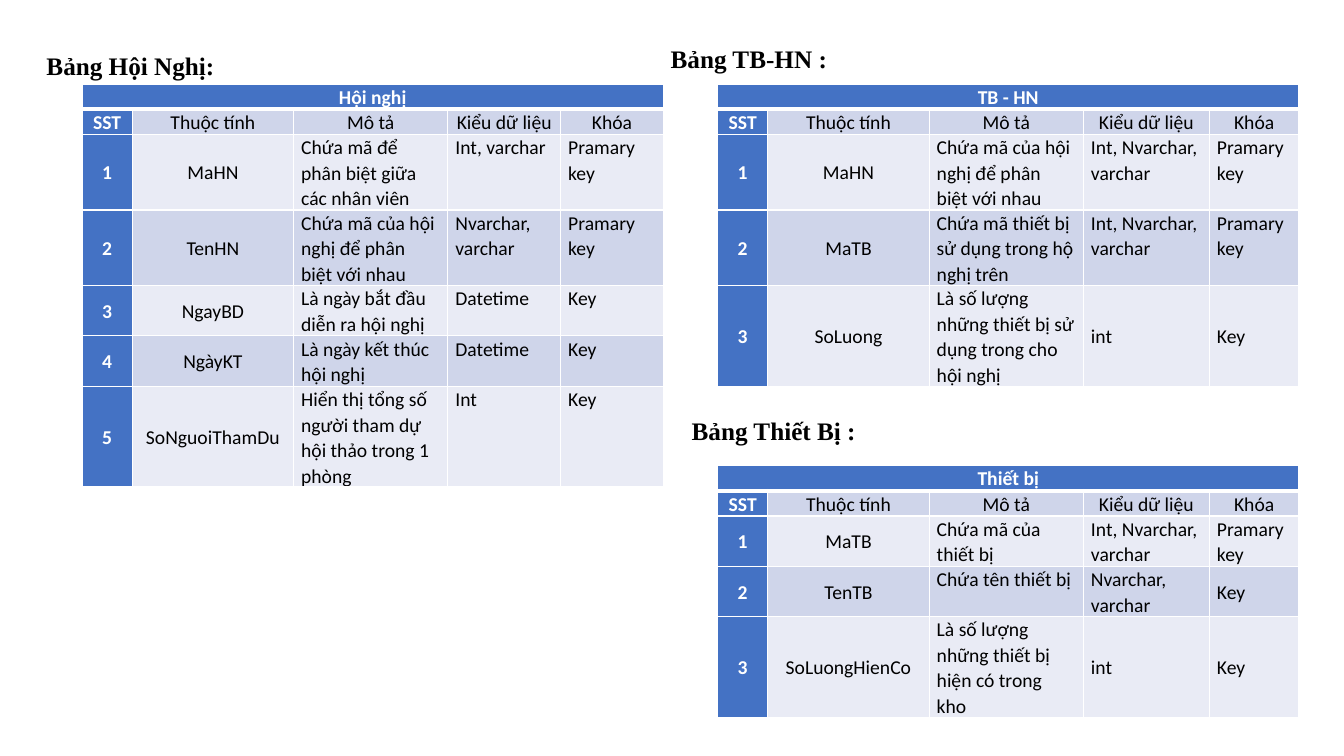
from pptx import Presentation
from pptx.dml.color import RGBColor
from pptx.enum.text import MSO_ANCHOR as ANCHOR, MSO_AUTO_SIZE as AUTO, PP_ALIGN as ALIGN
from pptx.oxml import parse_xml
from pptx.oxml.ns import nsdecls
from pptx.util import Pt

BLUE, BAND_DARK, BAND_LIGHT = "4472C4", "CFD5EA", "E9EBF5"
WHITE, BLACK = "FFFFFF", "000000"
LINE_HEIGHT = 17.6
HEADINGS = ["SST", "Thuộc tính", "Mô tả", "Kiểu dữ liệu", "Khóa"]
LEFT_COLS = [36, 115.2, 110.2, 80.6, 73.4]
RIGHT_COLS = [36, 115.2, 110.2, 90, 64]

# Each attribute: name, description, data type, key, lines of text
CONFERENCE = [
    ("MaHN", "Chứa mã để phân biệt giữa các nhân viên", "Int, varchar", "Pramary key", 3),
    ("TenHN", "Chứa mã của hội nghị để phân biệt với nhau", "Nvarchar, varchar",
     "Pramary key", 3),
    ("NgayBD", "Là ngày bắt đầu diễn ra hội nghị", "Datetime", "Key", 2),
    ("NgàyKT", "Là ngày kết thúc hội nghị", "Datetime", "Key", 2),
    ("SoNguoiThamDu", "Hiển thị tổng số người tham dự hội thảo trong 1 phòng",
     "Int", "Key", 4),
]
DEVICE_CONFERENCE = [
    ("MaHN", "Chứa mã của hội nghị để phân biệt với nhau", "Int, Nvarchar, varchar",
     "Pramary key", 3),
    ("MaTB", "Chứa mã thiết bị sử dụng trong hộ nghị trên", "Int, Nvarchar, varchar",
     "Pramary key", 3),
    ("SoLuong", "Là số lượng những thiết bị sử dụng trong cho hội nghị", "int", "Key", 4),
]
DEVICE = [
    ("MaTB", "Chứa mã của thiết bị", "Int, Nvarchar, varchar", "Pramary key", 2),
    ("TenTB", "Chứa tên thiết bị", "Nvarchar, varchar", "Key", 2),
    ("SoLuongHienCo", "Là số lượng những thiết bị hiện có trong kho", "int", "Key", 4),
]


def rgb(value):
    return RGBColor.from_string(value)


def write(tf, text, size=14, font="Calibri", color=BLACK, bold=False,
          align=ALIGN.LEFT, before=0):
    p = tf.paragraphs[0]
    p.alignment, p.line_spacing = align, 1.07
    p.space_before, p.space_after = Pt(before), Pt(0)
    r = p.add_run()
    r.text = text
    r.font.size, r.font.name, r.font.bold = Pt(size), font, bold
    r.font.color.rgb = rgb(color)


def format_heading(sp, text, left, top):
    sp.left, sp.top, sp.width, sp.height = Pt(left), Pt(top), Pt(480), Pt(29)
    tf = sp.text_frame
    tf.word_wrap = True
    tf.auto_size, tf.vertical_anchor = AUTO.SHAPE_TO_FIT_TEXT, ANCHOR.TOP
    write(tf, text, size=18, font="Times New Roman", bold=True, before=2)


def add_heading(slide, text, left, top):
    sp = slide.shapes.add_textbox(Pt(left), Pt(top), Pt(480), Pt(29))
    format_heading(sp, text, left, top)


def set_borders(cell, top=1, bottom=1):
    tcPr = cell._tc.get_or_add_tcPr()
    for side, width in (("L", 1), ("R", 1), ("T", top), ("B", bottom)):
        tcPr.append(parse_xml(
            f'<a:ln{side} {nsdecls("a")} w="{Pt(width)}"><a:solidFill>'
            f'<a:srgbClr val="{WHITE}"/></a:solidFill></a:ln{side}>'))


def format_cell(cell, text, fill, middle=True, top=1, bottom=1, **text_format):
    set_borders(cell, top, bottom)
    cell.fill.solid()
    cell.fill.fore_color.rgb = rgb(fill)
    cell.margin_left = cell.margin_right = Pt(5.4)
    cell.margin_top = cell.margin_bottom = 0
    cell.vertical_anchor = ANCHOR.MIDDLE if middle else ANCHOR.TOP
    if text:
        write(cell.text_frame, text, **text_format)


def add_attribute_table(slide, name, attributes, left, top, widths, middle_rows=()):
    lines = [1, 1] + [attribute[-1] for attribute in attributes]
    frame = slide.shapes.add_table(len(lines), len(widths), Pt(left), Pt(top),
                                   Pt(sum(widths)), Pt(sum(lines) * LINE_HEIGHT))
    table = frame.table
    for column, width in zip(table.columns, widths):
        column.width = Pt(width)
    for row, count in zip(table.rows, lines):
        row.height = Pt(count * LINE_HEIGHT)
    label = dict(color=WHITE, bold=True, align=ALIGN.CENTER)

    # Table name across all columns
    for c in range(len(widths)):
        format_cell(table.cell(0, c), "" if c else name, BLUE, bottom=3, **label)
    table.cell(0, 0).merge(table.cell(0, len(widths) - 1))

    # Column headings, then numbered attributes in bands
    rows = [HEADINGS] + [(str(n), *a[:-1]) for n, a in enumerate(attributes, 1)]
    for n, values in enumerate(rows):
        band = BAND_LIGHT if n % 2 else BAND_DARK
        for c, text in enumerate(values):
            centred = n == 0 or c < 2
            middle = centred or (c > 2 and n in middle_rows)
            style = label if c == 0 else dict(align=ALIGN.CENTER if centred else ALIGN.LEFT)
            format_cell(table.cell(n + 1, c), text, band if c else BLUE, middle,
                        top=1 if n else 3, **style)


def main():
    prs = Presentation()
    prs.slide_width, prs.slide_height = Pt(960), Pt(540)
    slide = prs.slides.add_slide(prs.slide_layouts[5])

    # Conference
    format_heading(slide.shapes.title, "Bảng Hội Nghị:", 26, 31)
    add_attribute_table(slide, "Hội nghị", CONFERENCE, 58.5, 60, LEFT_COLS)

    # Devices per conference
    add_heading(slide, "Bảng TB-HN :", 472, 26)
    add_attribute_table(slide, "TB - HN", DEVICE_CONFERENCE, 512.5, 60, RIGHT_COLS,
                        middle_rows=(3,))

    # Devices
    add_heading(slide, "Bảng Thiết Bị :", 487, 291.5)
    add_attribute_table(slide, "Thiết bị", DEVICE, 512.5, 332.5, RIGHT_COLS,
                        middle_rows=(2, 3))

    prs.save("out.pptx")


main()
